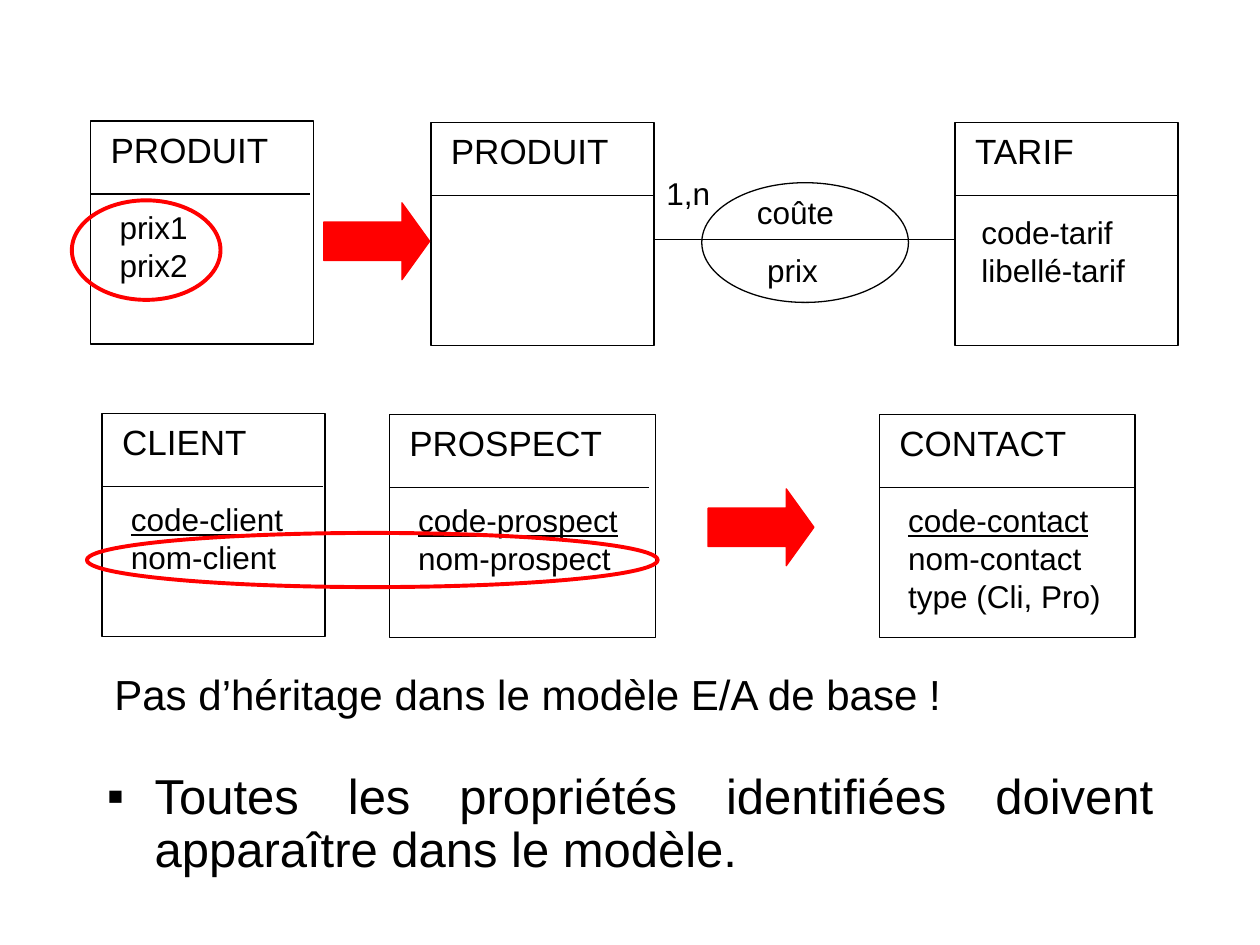
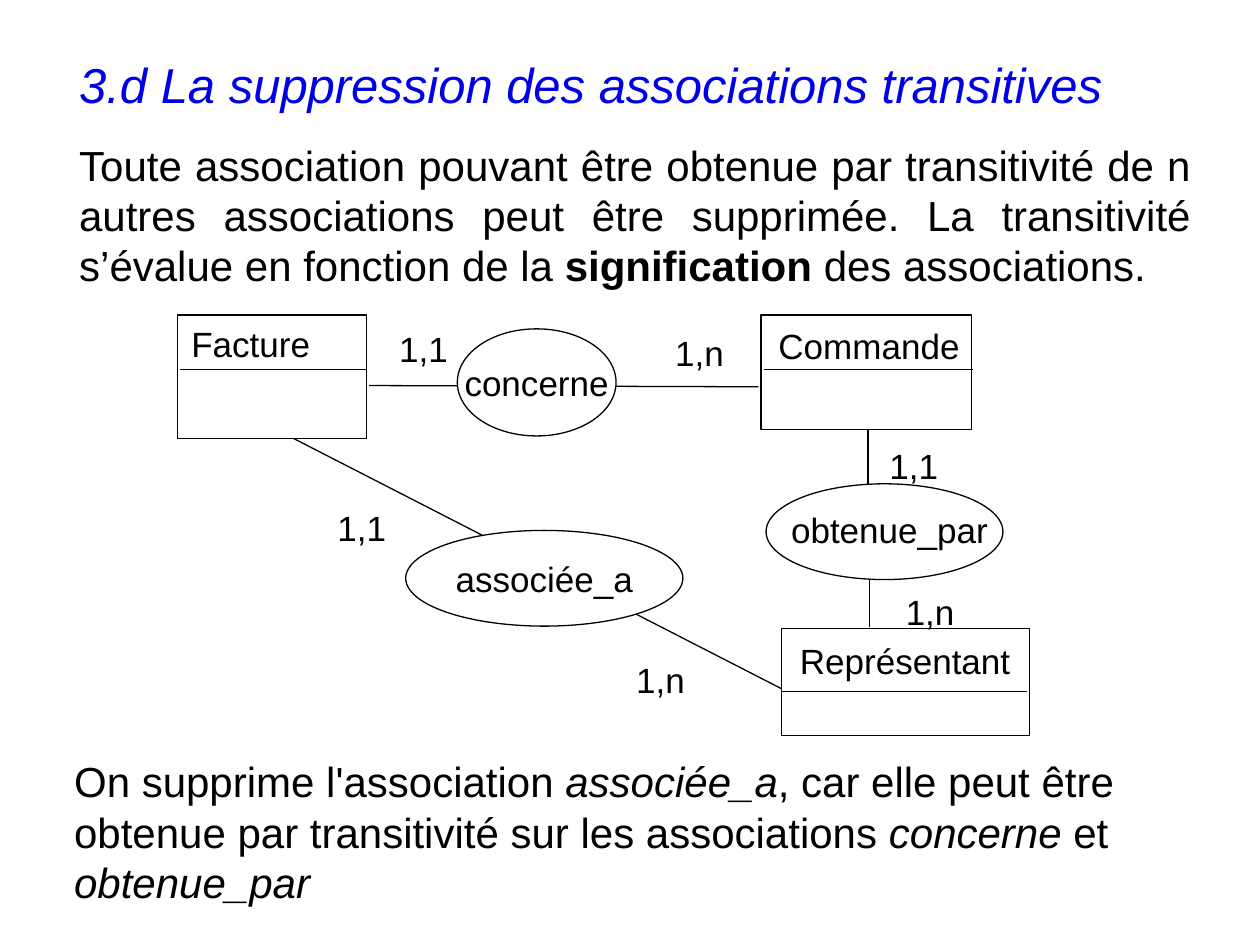
from lxml import etree
from pptx import Presentation
from pptx.dml.color import RGBColor
from pptx.enum.shapes import MSO_CONNECTOR, MSO_SHAPE
from pptx.enum.text import MSO_ANCHOR, MSO_AUTO_SIZE, PP_ALIGN
from pptx.oxml.ns import qn
from pptx.util import Inches, Pt

RECTANGLE = MSO_SHAPE.RECTANGLE
ELLIPSE = MSO_SHAPE.OVAL
RIGHT_ARROW = MSO_SHAPE.RIGHT_ARROW
STRAIGHT = MSO_CONNECTOR.STRAIGHT
MIDDLE = MSO_ANCHOR.MIDDLE
TOP = MSO_ANCHOR.TOP
FIT_SHAPE = MSO_AUTO_SIZE.SHAPE_TO_FIT_TEXT
LEFT = PP_ALIGN.LEFT
CENTER = PP_ALIGN.CENTER
JUSTIFY = PP_ALIGN.JUSTIFY

FONT = "Arial"
BLACK = "000000"
WHITE = "FFFFFF"
RED = "FF0000"
BLUE = "0000E5"


def color(value):
    return RGBColor.from_string(value)


def write(paragraph, text, size=20, fill=BLACK, align=LEFT, bold=False,
          italic=False, underline=False):
    paragraph.alignment = align
    run = paragraph.add_run()
    run.text = text
    font = run.font
    font.name = FONT
    font.size = Pt(size)
    font.color.rgb = color(fill)
    font.bold = bold
    font.italic = italic
    font.underline = underline


class Diagram:
    def __init__(self):
        self.presentation = Presentation()
        self.presentation.slide_width = Inches(10)
        self.presentation.slide_height = Inches(7.5)
        self.slide = None

    def new_slide(self):
        self.slide = self.presentation.slides.add_slide(self.presentation.slide_layouts[6])

    def shape(self, kind, box, fill=None, line=BLACK, weight=0.75):
        shape = self.slide.shapes.add_shape(kind, *map(Inches, box))
        shape.shadow.inherit = False
        if fill:
            shape.fill.solid()
            shape.fill.fore_color.rgb = color(fill)
        else:
            shape.fill.background()
        shape.line.color.rgb = color(line)
        shape.line.width = Pt(weight)
        return shape

    def line(self, start, end):
        connector = self.slide.shapes.add_connector(STRAIGHT, *map(Inches, start + end))
        connector.line.color.rgb = color(BLACK)
        connector.line.width = Pt(0.75)
        etree.SubElement(connector._element.spPr, qn("a:effectLst"))

    def text_box(self, box, wrap=True):
        frame = self.slide.shapes.add_textbox(*map(Inches, box)).text_frame
        frame.word_wrap = wrap
        frame.auto_size = FIT_SHAPE
        frame.vertical_anchor = TOP
        return frame

    def label(self, box, lines, size=20, underline_first=False):
        frame = self.text_box(box, wrap=False)
        for index, text in enumerate(lines):
            paragraph = frame.add_paragraph() if index else frame.paragraphs[0]
            write(paragraph, text, size=size, underline=underline_first and index == 0)

    def entity(self, box, name, name_box, rule):
        self.shape(RECTANGLE, box, fill=WHITE)
        start, end, height = rule
        self.line((start, height), (end, height))
        self.label(name_box, [name])

    def association(self, box, name):
        shape = self.shape(ELLIPSE, box, fill=WHITE)
        frame = shape.text_frame
        frame.word_wrap = False
        frame.vertical_anchor = MIDDLE
        write(frame.paragraphs[0], name, align=CENTER)

    def arrow(self, left, top):
        shape = self.shape(RIGHT_ARROW, (left, top, 0.84, 0.61), fill=RED, line=RED)
        shape.adjustments[1] = 0.36

    def highlight(self, box):
        self.shape(ELLIPSE, box, line=RED, weight=2.25)

    def bullet(self, box, text):
        paragraph = self.text_box(box).paragraphs[0]
        paragraph.line_spacing = 0.9
        properties = paragraph._p.get_or_add_pPr()
        properties.set("marL", str(Inches(0.38)))
        properties.set("indent", str(-Inches(0.38)))
        bullet_color = etree.SubElement(properties, qn("a:buClr"))
        etree.SubElement(bullet_color, qn("a:srgbClr"), val=BLACK)
        etree.SubElement(properties, qn("a:buFont"), typeface=FONT)
        etree.SubElement(properties, qn("a:buChar"), char="▪")
        write(paragraph, text, size=28, align=JUSTIFY)


def build_properties_slide(diagram):
    diagram.new_slide()
    diagram.shape(ELLIPSE, (5.57, 1.45, 1.64, 0.95))
    diagram.line((5.19, 1.9), (7.93, 1.9))

    entities = [
        ("PRODUIT", 0.72, 0.96, 1.77, 1.74, 1.47, 0.78, ["prix1", "prix2"]),
        ("PRODUIT", 3.42, 0.97, 1.77, 1.77, 1.47, 0, []),
        ("TARIF", 7.58, 0.97, 1.77, 1.77, 1.02, 1.38, ["code-tarif", "libellé-tarif"]),
        ("CLIENT", 0.81, 3.28, 1.77, 1.75, 1.21, 1.45, ["code-client", "nom-client"]),
        ("PROSPECT", 3.09, 3.29, 2.11, 2.06, 1.75, 1.82, ["code-prospect", "nom-prospect"]),
        ("CONTACT", 6.98, 3.29, 2.03, 2.03, 1.56, 1.77,
         ["code-contact", "nom-contact", "type (Cli, Pro)"]),
    ]
    for name, left, top, width, rule, name_width, attribute_width, attributes in entities:
        diagram.entity((left, top, width, 1.77), name,
                       (left + 0.06, top + 0.01, name_width, 0.44),
                       (left, left + rule, top + 0.58))
        if attributes:
            height = 0.1 + 0.3 * len(attributes)
            shift_x, shift_y = (0.11, 0.67) if name == "TARIF" else (0.13, 0.64)
            diagram.label((left + shift_x, top + shift_y, attribute_width, height), attributes,
                          size=18, underline_first=attributes[0] in
                          ("code-client", "code-prospect", "code-contact"))

    for text, left, top, width in [("coûte", 5.91, 1.48, 0.83), ("prix", 5.99, 1.94, 0.62),
                                   ("1,n", 5.19, 1.33, 0.6)]:
        diagram.label((left, top, width, 0.4), [text], size=18)
    diagram.arrow(2.57, 1.61)
    diagram.arrow(5.62, 3.88)

    remark = diagram.text_box((0.81, 5.26, 7.94, 0.5))
    write(remark.paragraphs[0], "Pas d’héritage dans le modèle E/A de base !", size=24)
    diagram.bullet((0.75, 6.08, 8.5, 0.95),
                   "Toutes les propriétés identifiées doivent apparaître dans le modèle.")
    diagram.highlight((0.57, 1.59, 1.18, 0.79))
    diagram.highlight((0.69, 4.23, 4.53, 0.43))


def build_transitivity_slide(diagram):
    diagram.new_slide()
    links = [
        ((2.93, 3.06), (6.02, 3.07)),
        ((6.89, 3.41), (6.89, 3.86)),
        ((6.9, 4.6), (6.9, 4.98)),
        ((2.33, 3.48), (6.21, 5.47)),
    ]
    for start, end in links:
        diagram.line(start, end)

    diagram.entity((1.41, 2.5, 1.5, 0.98), "Facture",
                   (1.42, 2.51, 1.16, 0.44), (1.43, 2.91, 2.93))
    diagram.entity((6.04, 2.5, 1.67, 0.91), "Commande",
                   (6.08, 2.53, 1.66, 0.44), (6.06, 7.72, 2.93))
    diagram.entity((6.2, 4.99, 1.97, 0.85), "Représentant",
                   (6.25, 5.03, 1.89, 0.44), (6.21, 8.15, 5.49))
    diagram.association((3.63, 2.61, 1.26, 0.85), "concerne")
    diagram.association((3.22, 4.21, 2.2, 0.76), "associée_a")
    diagram.shape(ELLIPSE, (6.08, 3.84, 1.88, 0.76), fill=WHITE)
    diagram.label((6.18, 3.99, 1.78, 0.44), ["obtenue_par"])

    cardinalities = [
        ("1,1", 3.07, 2.55), ("1,n", 5.26, 2.58), ("1,1", 6.96, 3.48),
        ("1,n", 7.09, 4.64), ("1,1", 2.58, 3.97), ("1,n", 4.95, 5.18),
    ]
    for text, left, top in cardinalities:
        diagram.label((left, top, 0.65, 0.44), [text])

    conclusion = diagram.text_box((0.49, 5.95, 8.85, 1.3)).paragraphs[0]
    for text, italic in [
        ("On supprime l'association ", False), ("associée_a", True),
        (", car elle peut être obtenue par transitivité sur les associations ", False),
        ("concerne ", True), ("et", False), (" obtenue_par", True),
    ]:
        write(conclusion, text, size=24, italic=italic)

    heading = diagram.text_box((0.53, 0.38, 9.02, 1.98))
    write(heading.paragraphs[0], "3.d La suppression des associations transitives",
          size=28, fill=BLUE, italic=True)
    rule = heading.add_paragraph()
    rule.space_before = Pt(15)
    for text, bold in [
        ("Toute association pouvant être obtenue par transitivité de n autres associations "
         "peut être supprimée. La transitivité s’évalue en fonction de la ", False),
        ("signification", True), (" des associations.", False),
    ]:
        write(rule, text, size=24, align=JUSTIFY, bold=bold)


def main():
    diagram = Diagram()
    build_properties_slide(diagram)
    build_transitivity_slide(diagram)
    diagram.presentation.save("out.pptx")


if __name__ == "__main__":
    main()
